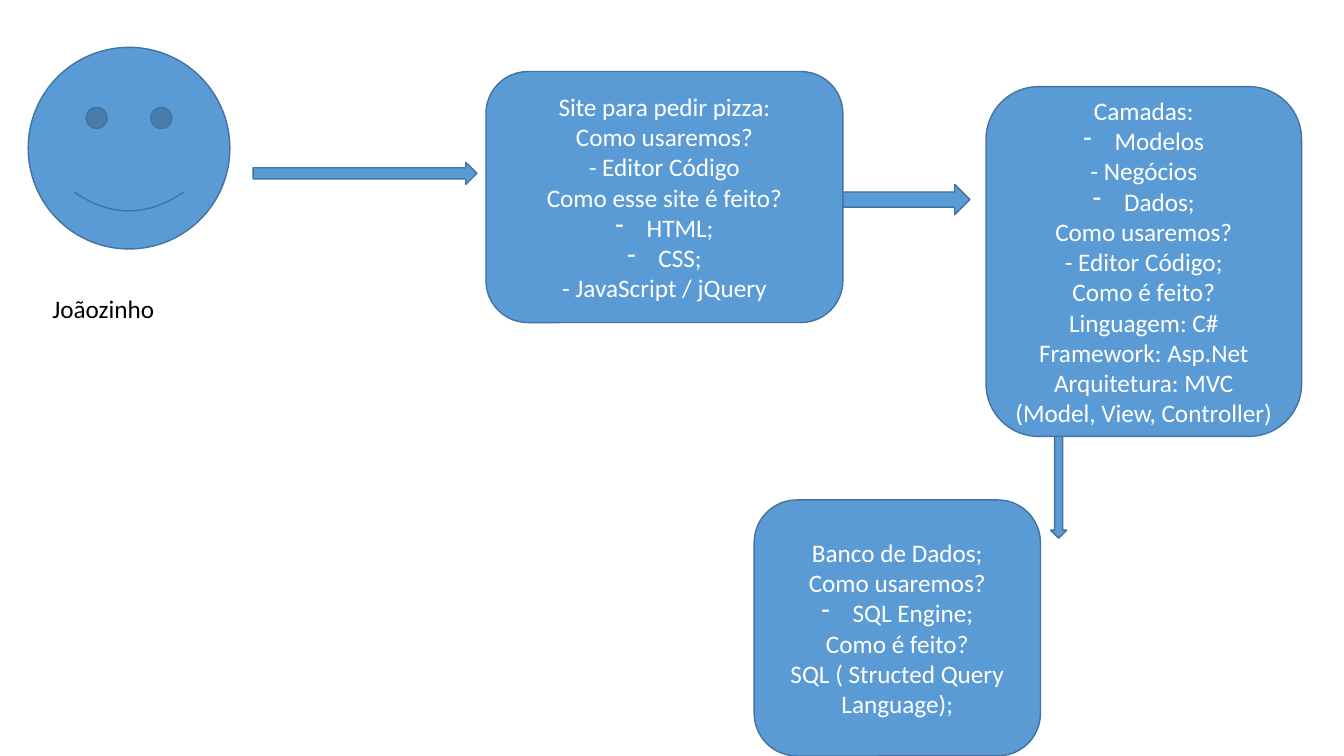
import pptx
import pptx.util
import pptx.dml.color
import pptx.enum.shapes
import pptx.enum.text
import pptx.oxml.ns
from dataclasses import dataclass
from lxml import etree
from pptx.util import Inches


@dataclass(frozen=True)
class Theme:
    fill: str = "5B9BD5"
    line: str = "43739E"
    light: str = "FFFFFF"
    dark: str = "000000"
    font: str = "Calibri"
    size: int = 18


theme = Theme()
Shape = pptx.enum.shapes.MSO_SHAPE
rgb = pptx.dml.color.RGBColor.from_string


def add_figure(kind, left, top, width, height):
    figure = slide.shapes.add_shape(
        kind, Inches(left), Inches(top), Inches(width), Inches(height))
    figure.shadow.inherit = False
    figure.fill.solid()
    figure.fill.fore_color.rgb = rgb(theme.fill)
    figure.line.color.rgb = rgb(theme.line)
    figure.line.width = pptx.util.Pt(1)
    return figure


def add_span(para, text, color):
    span = para.add_run()
    span.text = text
    span.font.name = theme.font
    span.font.size = pptx.util.Pt(theme.size)
    span.font.color.rgb = rgb(color)


deck = pptx.Presentation()
deck.slide_width = Inches(13.33)
deck.slide_height = Inches(7.5)
slide = deck.slides.add_slide(deck.slide_layouts[6])

# User
add_figure(Shape.SMILEY_FACE, 0.28, 0.47, 2, 2)
label = slide.shapes.add_textbox(Inches(0.42), Inches(2.86), Inches(1.22), Inches(0.71))
label.text_frame.word_wrap = False
label.text_frame.auto_size = pptx.enum.text.MSO_AUTO_SIZE.SHAPE_TO_FIT_TEXT
add_span(label.text_frame.paragraphs[0], "Joãozinho", theme.dark)

# Layers of the system; a line starting with "* " is a dash bullet
layers = [
    ((4.82, 0.71, 3.54, 2.49), [
        "Site para pedir pizza:", "Como usaremos?", "- Editor Código",
        "Como esse site é feito?", "* HTML;", "* CSS;", "- JavaScript / jQuery"]),
    ((9.78, 0.86, 3.13, 3.47), [
        "Camadas:", "* Modelos", "- Negócios", "* Dados;", "Como usaremos?",
        "- Editor Código;", "Como é feito?", "Linguagem: C#",
        "Framework: Asp.Net\nArquitetura: MVC (Model, View, Controller)"]),
    ((7.48, 4.96, 2.84, 2.54), [
        "Banco de Dados;", "Como usaremos?", "* SQL Engine;", "Como é feito?",
        "SQL ( Structed Query Language);"]),
]
for place, lines in layers:
    box = add_figure(Shape.ROUNDED_RECTANGLE, *place)
    frame = box.text_frame
    frame.word_wrap = True
    frame.vertical_anchor = pptx.enum.text.MSO_ANCHOR.MIDDLE
    for index, line in enumerate(lines):
        para = frame.add_paragraph() if index else frame.paragraphs[0]
        para.alignment = pptx.enum.text.PP_ALIGN.CENTER
        if line.startswith("* "):
            settings = para._p.get_or_add_pPr()
            settings.set("marL", str(Inches(0.31)))
            settings.set("indent", str(Inches(-0.31)))
            bullet = etree.SubElement(settings, pptx.oxml.ns.qn("a:buChar"))
            bullet.set("char", "-")
        for part, text in enumerate(line.removeprefix("* ").split("\n")):
            if part:
                para.add_line_break()
            add_span(para, text, theme.light)

# Flow between the layers
add_figure(Shape.RIGHT_ARROW, 2.51, 1.61, 2.22, 0.22)
add_figure(Shape.RIGHT_ARROW, 8.36, 1.83, 1.26, 0.3)
add_figure(Shape.DOWN_ARROW, 10.42, 4.33, 0.16, 1.01)

deck.save("out.pptx")
